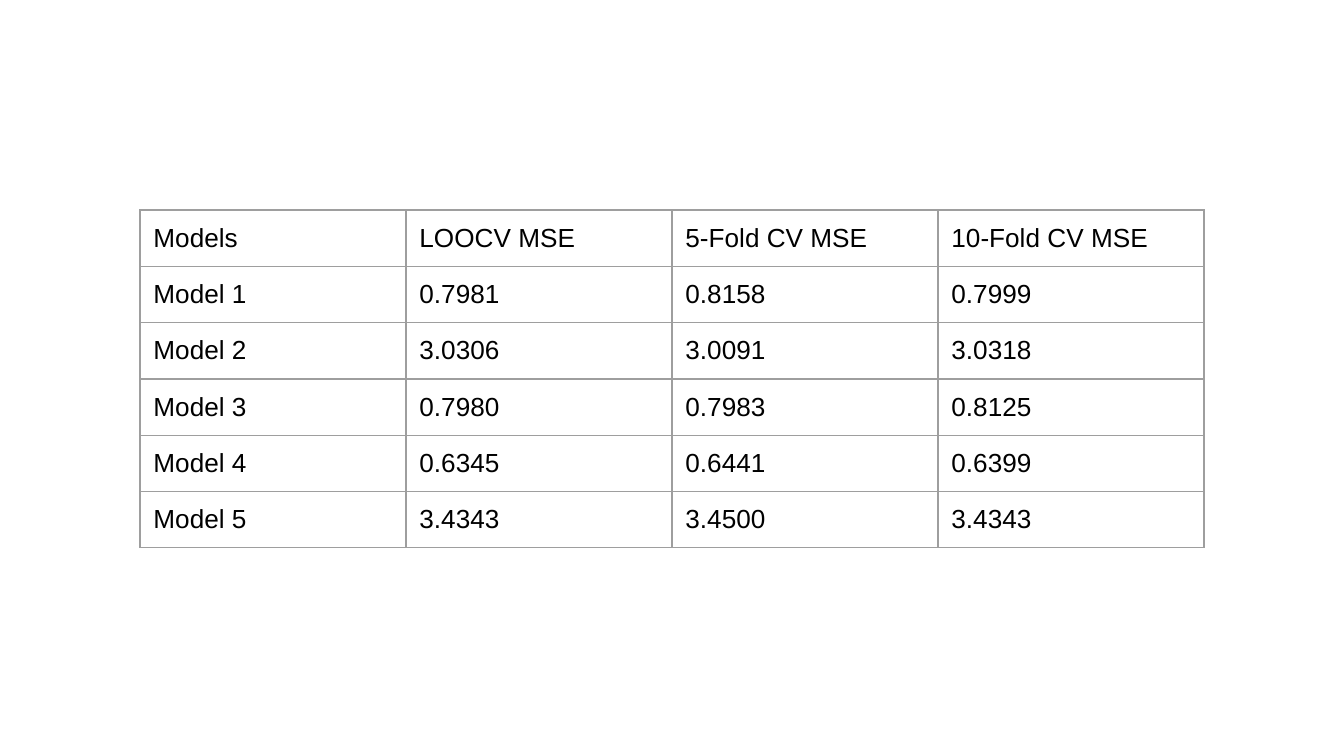
from dataclasses import dataclass

from lxml import etree
from pptx import Presentation
from pptx import util as u
from pptx.dml.color import RGBColor
from pptx.oxml import ns

PX = 1905  # EMU per px, 480 px to the inch


def px(length):
    return u.Emu(length * PX)


@dataclass(frozen=True)
class Theme:
    font: str = "Arial"
    text_size: float = 14
    text_color: str = "000000"
    border_color: str = "9E9E9E"
    border_width: float = 0.75
    cell_inset: int = 48


class SlideBuilder:
    def __init__(self, page, theme):
        self.page = page
        self.theme = theme

    def table(self, left, top, height, column_width, row_height, rows):
        row_count, column_count = len(rows), len(rows[0])
        frame = self.page.shapes.add_table(
            row_count, column_count, px(left), px(top),
            px(column_width * column_count), px(height))
        table = frame.table
        table.first_row = False
        table.horz_banding = False
        for column in table.columns:
            column.width = px(column_width)
        for row, values in zip(table.rows, rows):
            row.height = px(row_height)
            for cell, value in zip(row.cells, values):
                self.cell(cell, value)
        frame.height = px(height)

    def cell(self, cell, value):
        inset = px(self.theme.cell_inset)
        cell.margin_left = cell.margin_right = inset
        cell.margin_top = cell.margin_bottom = inset
        self.borders(cell)
        cell.fill.background()
        cell.text_frame.text = value
        for span in cell.text_frame.paragraphs[0].runs:
            span.font.name = self.theme.font
            span.font.size = u.Pt(self.theme.text_size)
            span.font.color.rgb = RGBColor.from_string(self.theme.text_color)

    def borders(self, cell):
        properties = cell._tc.get_or_add_tcPr()
        for side in ("a:lnL", "a:lnR", "a:lnT", "a:lnB"):
            line = etree.SubElement(properties, ns.qn(side),
                                    w=str(u.Pt(self.theme.border_width)))
            fill = etree.SubElement(line, ns.qn("a:solidFill"))
            etree.SubElement(fill, ns.qn("a:srgbClr"),
                             val=self.theme.border_color)


MODEL_ERRORS = [
    ("Models", "LOOCV MSE", "5-Fold CV MSE", "10-Fold CV MSE"),
    ("Model 1", "0.7981", "0.8158", "0.7999"),
    ("Model 2", "3.0306", "3.0091", "3.0318"),
    ("Model 3", "0.7980", "0.7983", "0.8125"),
    ("Model 4", "0.6345", "0.6441", "0.6399"),
    ("Model 5", "3.4343", "3.4500", "3.4343"),
]


def main():
    deck = Presentation()
    deck.slide_width, deck.slide_height = px(4800), px(2700)
    blank_layout = deck.slide_layouts[6]
    builder = SlideBuilder(deck.slides.add_slide(blank_layout), Theme())
    builder.table(left=500, top=750, height=1248, column_width=950,
                  row_height=200, rows=MODEL_ERRORS)
    deck.save("out.pptx")


if __name__ == "__main__":
    main()
